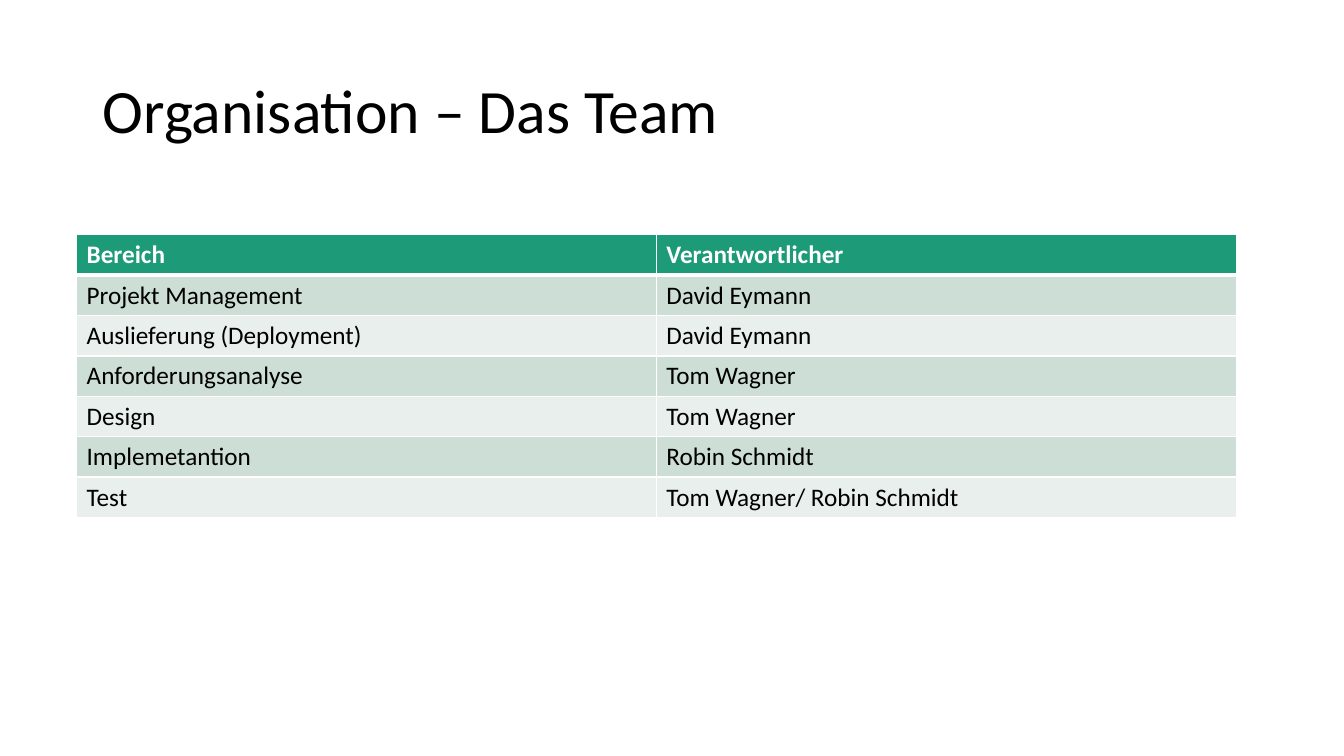
from typing import NamedTuple

from lxml.etree import SubElement
from pptx import Presentation
from pptx.dml.color import RGBColor
from pptx.enum.text import MSO_ANCHOR
from pptx.oxml.ns import qn
from pptx.slide import Slide
from pptx.table import _Cell
from pptx.text.text import _Paragraph
from pptx.util import Inches, Pt

FONT = "Calibri"
COLORS = {
    "text": "000000",
    "white": "FFFFFF",
    "header": "1D9A78",
    "odd": "CDDED6",
    "even": "E8EFEC",
}


class Assignment(NamedTuple):
    area: str
    owner: str


class RowStyle(NamedTuple):
    fill: str
    text: str
    bold: bool
    top: int
    bottom: int


HEADER = Assignment("Bereich", "Verantwortlicher")
ASSIGNMENTS = [
    Assignment("Projekt Management", "David Eymann"),
    Assignment("Auslieferung (Deployment)", "David Eymann"),
    Assignment("Anforderungsanalyse", "Tom Wagner"),
    Assignment("Design", "Tom Wagner"),
    Assignment("Implemetantion", "Robin Schmidt"),
    Assignment("Test", "Tom Wagner/ Robin Schmidt"),
]


def style_text(paragraph: _Paragraph, size: int, color: str, bold: bool = False) -> None:
    for run in paragraph.runs:
        run.font.name = FONT
        run.font.size = Pt(size)
        run.font.bold = bold
        run.font.color.rgb = RGBColor.from_string(COLORS[color])


def set_borders(cell: _Cell, top: int, bottom: int) -> None:
    properties = cell._tc.get_or_add_tcPr()
    for side, width in {"L": 1, "R": 1, "T": top, "B": bottom}.items():
        border = SubElement(properties, qn(f"a:ln{side}"), w=str(Pt(width)))
        fill = SubElement(border, qn("a:solidFill"))
        SubElement(fill, qn("a:srgbClr"), val=COLORS["white"])


def row_style(index: int) -> RowStyle:
    if index == 0:
        return RowStyle("header", "white", True, 1, 3)
    fill = "odd" if index % 2 else "even"
    return RowStyle(fill, "text", False, 3 if index == 1 else 1, 1)


def add_title(slide: Slide, wording: str) -> None:
    title = slide.shapes.add_textbox(Inches(0.92), Inches(0.4), Inches(11.5), Inches(1.45))
    frame = title.text_frame
    frame.word_wrap = True
    frame.vertical_anchor = MSO_ANCHOR.MIDDLE
    frame.text = wording
    frame.paragraphs[0].line_spacing = 0.9
    style_text(frame.paragraphs[0], 44, "text")


def add_team_table(slide: Slide, assignments: list[Assignment]) -> None:
    row_height = Inches(0.4)
    team = slide.shapes.add_table(
        len(assignments), len(HEADER), Inches(0.76), Inches(2.33),
        Inches(11.5), row_height * len(assignments),
    ).table
    for row_index, assignment in enumerate(assignments):
        style = row_style(row_index)
        for column_index, wording in enumerate(assignment):
            cell = team.cell(row_index, column_index)
            set_borders(cell, style.top, style.bottom)
            cell.fill.solid()
            cell.fill.fore_color.rgb = RGBColor.from_string(COLORS[style.fill])
            cell.text_frame.text = wording
            style_text(cell.text_frame.paragraphs[0], 18, style.text, style.bold)


presentation = Presentation()
presentation.slide_width = Inches(13.33)
presentation.slide_height = Inches(7.5)
team_slide = presentation.slides.add_slide(presentation.slide_layouts[6])
add_title(team_slide, "Organisation – Das Team")
add_team_table(team_slide, [HEADER, *ASSIGNMENTS])
presentation.save("out.pptx")
